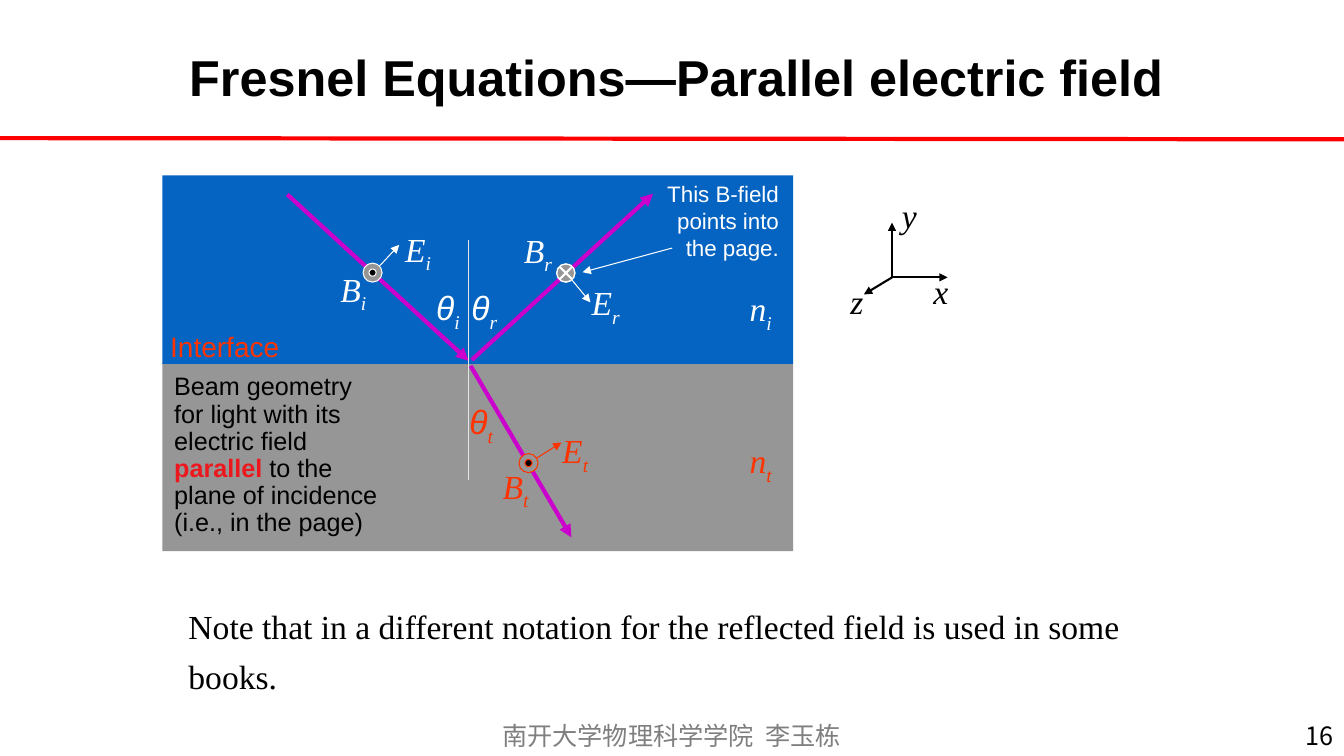
from lxml import etree
from pptx import Presentation
from pptx.dml.color import RGBColor
from pptx.enum.shapes import MSO_CONNECTOR, MSO_SHAPE
from pptx.enum.text import MSO_ANCHOR, PP_ALIGN
from pptx.oxml.ns import qn
from pptx.util import Cm, Pt

STRAIGHT = MSO_CONNECTOR.STRAIGHT
RECTANGLE, OVAL = MSO_SHAPE.RECTANGLE, MSO_SHAPE.OVAL
LEFT, CENTER, RIGHT = PP_ALIGN.LEFT, PP_ALIGN.CENTER, PP_ALIGN.RIGHT
MIDDLE = MSO_ANCHOR.MIDDLE
SERIF, SANS, CJK = "Times New Roman", "Arial", "Noto Sans CJK SC"
BLACK, WHITE, GRAY, BLUE = "000000", "FFFFFF", "969696", "0563C1"
ORANGE, MAGENTA, RED = "FF3300", "CC00CC", "FF0000"
color = RGBColor.from_string

deck = Presentation()
deck.slide_width, deck.slide_height = Cm(33.87), Cm(19.05)
page = deck.slides.add_slide(deck.slide_layouts[6])
shapes = page.shapes


def add_text(place, lines, size, font, ink, align=LEFT, spacing=1.0, wrap=True):
    """Each line is a list of spans."""
    box = shapes.add_textbox(*map(Cm, place))
    frame = box.text_frame
    frame.word_wrap = wrap
    for number, spans in enumerate(lines):
        para = frame.add_paragraph() if number else frame.paragraphs[0]
        para.alignment, para.line_spacing = align, spacing
        for words in spans:
            span = para.add_run()
            span.text = words
            span.font.size, span.font.name = Pt(size), font
            span.font.color.rgb = color(ink)
            if font == CJK:
                etree.SubElement(span.font._element, qn("a:ea"), typeface=font)
    return frame


def add_line(ends, ink, width, arrow=False):
    line = shapes.add_connector(STRAIGHT, *map(Cm, ends))
    line.line.color.rgb = color(ink)
    line.line.width = Pt(width)
    if arrow:
        etree.SubElement(line.line._get_or_add_ln(), qn("a:tailEnd"), type="triangle")
    etree.SubElement(line._element.spPr, qn("a:effectLst"))


# Title and rule
title = add_text((4.52, 0.43, 25.6, 3.18), [["Fresnel Equations—Parallel electric field"]],
                 36, SANS, BLACK, spacing=0.9)
title.vertical_anchor = MIDDLE
title.paragraphs[0].runs[0].font.bold = True
add_line((0, 3.48, 33.87, 3.51), RED, 3)

# The two media
for top, fill in ((9.14, GRAY), (4.42, BLUE)):
    medium = shapes.add_shape(RECTANGLE, Cm(4.09), Cm(top), Cm(15.9), Cm(4.75))
    medium.shadow.inherit = False
    medium.fill.solid()
    medium.fill.fore_color.rgb = color(fill)
    medium.line.fill.background()

# Incident, reflected and transmitted rays, then the normal
for ray in ((7.24, 4.9, 11.81, 9.09), (11.89, 9.07, 16.46, 4.88), (11.86, 9.22, 14.4, 13.54)):
    add_line(ray, MAGENTA, 3, arrow=True)
add_line((11.81, 6.05, 11.81, 12.09), "E7E6E6", 0.75)

# Electric field arrows and the callout arrow
for ends, ink in (((9.4, 6.88, 10.06, 6.17), WHITE),
                  ((14.27, 6.88, 14.88, 7.62), WHITE),
                  ((13.34, 11.66, 14.15, 11.15), ORANGE),
                  ((16.94, 6.25, 14.68, 6.86), WHITE)):
    add_line(ends, ink, 0.75, arrow=True)

# Magnetic field markers: dots point out of the page, the cross into it
cross_x, cross_y, arm = 14.26, 6.88, 0.16
for x, y, radius, fill, ink, width in (
        (9.39, 6.87, 0.24, GRAY, WHITE, 0.75), (9.39, 6.87, 0.09, BLACK, WHITE, 0.75),
        (13.32, 11.67, 0.24, GRAY, ORANGE, 0.75), (13.32, 11.67, 0.09, BLACK, ORANGE, 0.75),
        (cross_x, cross_y, 0.23, GRAY, WHITE, 1)):
    circle = shapes.add_shape(OVAL, Cm(x - radius), Cm(y - radius), Cm(2 * radius), Cm(2 * radius))
    circle.shadow.inherit = False
    circle.fill.solid()
    circle.fill.fore_color.rgb = color(fill)
    circle.line.color.rgb = color(ink)
    circle.line.width = Pt(width)
for rise in (arm, -arm):
    add_line((cross_x - arm, cross_y - rise, cross_x + arm, cross_y + rise), WHITE, 1.5)

# Coordinate axes
for end_x, end_y in ((22.48, 5.61), (21.77, 7.42), (23.88, 6.99)):
    add_line((22.48, 6.99, end_x, end_y), BLACK, 1.5, arrow=True)

# Symbols with their subscripts
for symbol, index, x, y, width, ink in (
        ("x", "", 23.27, 6.71, 0.89, BLACK), ("y", "", 22.48, 4.78, 0.89, BLACK),
        ("z", "", 21.18, 6.96, 0.84, BLACK),
        ("n", "i", 18.64, 7.14, 1.09, WHITE), ("n", "t", 18.64, 10.97, 1.09, ORANGE),
        ("θ", "i", 10.74, 7.11, 1.12, WHITE), ("θ", "r", 11.63, 7.11, 1.17, WHITE),
        ("θ", "t", 11.58, 9.98, 1.12, ORANGE),
        ("E", "i", 9.96, 5.64, 1.19, WHITE), ("B", "i", 8.33, 6.65, 1.19, WHITE),
        ("E", "r", 14.66, 6.99, 1.24, WHITE), ("B", "r", 12.95, 5.66, 1.24, WHITE),
        ("E", "t", 13.92, 10.72, 1.19, ORANGE), ("B", "t", 12.42, 11.61, 1.19, ORANGE)):
    spans = [symbol, index] if index else [symbol]
    label = add_text((x, y, width, 1.27), [spans], 24, SERIF, ink, wrap=False)
    runs = label.paragraphs[0].runs
    for span in runs:
        span.font.italic = True
    if symbol == "θ":
        runs[0].font.name = SANS
    if index:
        runs[1].font._element.set("baseline", "-25000")

# Descriptions inside the diagram
add_text((4.04, 8.18, 3.25, 1.09), [["Interface"]], 20, SANS, ORANGE, wrap=False)
geometry = add_text((4.14, 9.3, 5.92, 5.08),
                    [["Beam geometry"], ["for light with its"], ["electric field"],
                     ["parallel ", "to the"], ["plane of incidence"], ["(i.e., in the page)"]],
                    18, SANS, BLACK, spacing=0.9)
parallel = geometry.paragraphs[3].runs[0]
parallel.font.bold = True
parallel.font.color.rgb = color("ED181E")
add_text((16.43, 4.42, 3.45, 2.29), [["This B-field points into the page."]],
         16, SANS, WHITE, align=RIGHT)

# Note, footer and page number
add_text((4.5, 14.88, 26.26, 1.42),
         [["Note that in a different notation for the reflected field is used in some books."]],
         24, SERIF, BLACK, spacing=1.25)
add_text((12.34, 18.03, 9.17, 1.02), [["南开大学物理科学学院  李玉栋"]],
         18, CJK, "7F7F7F", align=CENTER, wrap=False)
add_text((26.24, 18.03, 7.62, 1.02), [["16"]], 18, CJK, BLACK, align=RIGHT)

deck.save("out.pptx")
